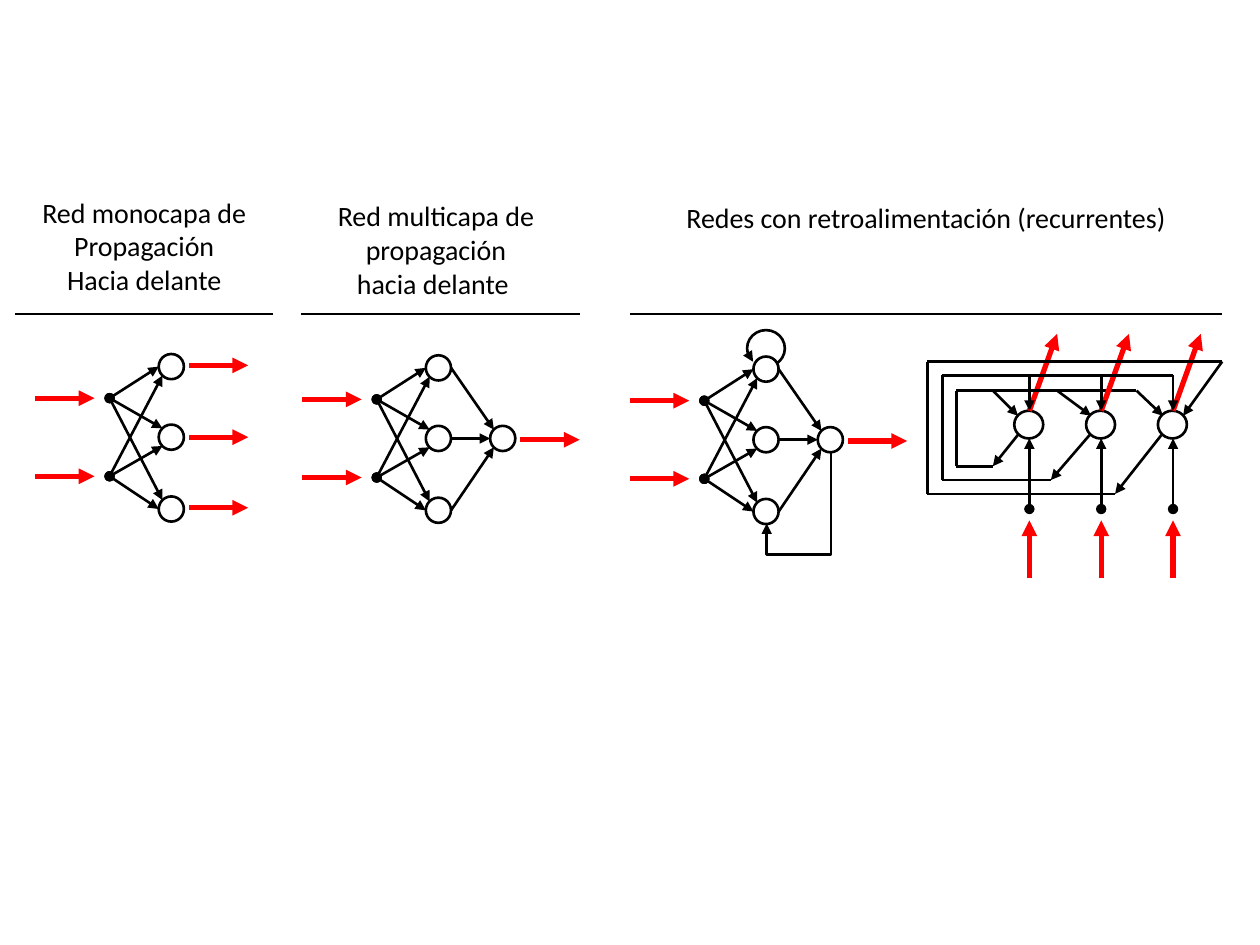
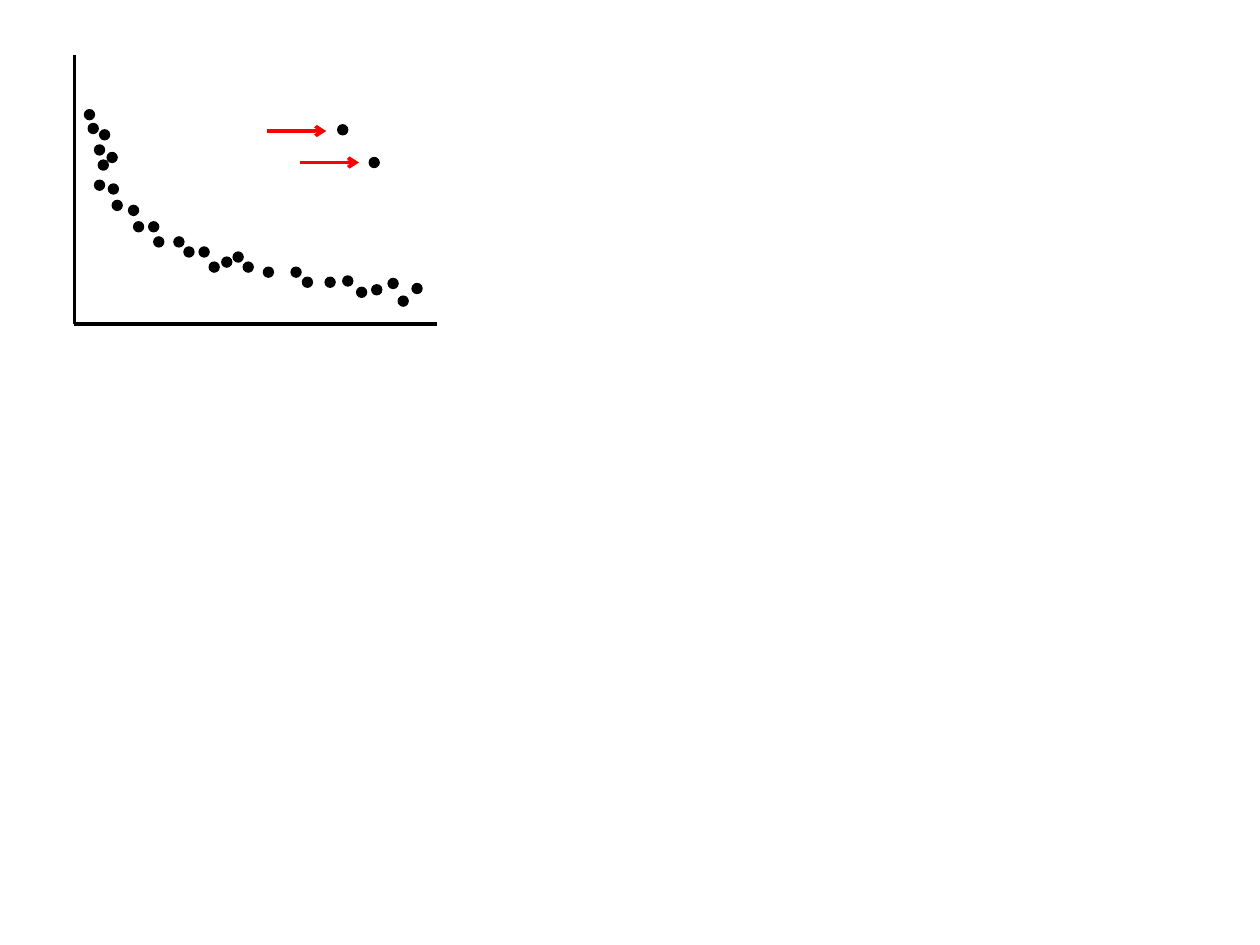
from lxml.etree import SubElement
from pptx import Presentation
from pptx.dml.color import RGBColor
from pptx.enum.shapes import MSO_CONNECTOR as Link, MSO_SHAPE as Preset
from pptx.enum.text import MSO_AUTO_SIZE as AutoSize, PP_ALIGN as Align
from pptx.oxml.ns import qn
from pptx.util import Pt

PX = 9144
BLACK = "000000"
RED = "FF0000"


def px(*lengths):
    return [length * PX for length in lengths]


def color(value):
    return RGBColor.from_string(value)


def write(frame, text, size=16, font="Calibri", ink=BLACK, align=Align.CENTER):
    frame.word_wrap = True
    frame.auto_size = AutoSize.SHAPE_TO_FIT_TEXT
    for index, content in enumerate(text.split("\n")):
        para = frame.paragraphs[0] if index == 0 else frame.add_paragraph()
        para.alignment = align
        span = para.add_run()
        span.text = content
        span.font.size = Pt(size)
        span.font.name = font
        span.font.color.rgb = color(ink)


class Sketch:
    def __init__(self, deck):
        self.deck = deck
        self.page = None
        self.shapes = None

    def new_page(self):
        self.page = self.deck.slides.add_slide(self.deck.slide_layouts[6])
        self.ungroup()

    def group(self):
        self.shapes = self.page.shapes.add_group_shape().shapes

    def ungroup(self):
        self.shapes = self.page.shapes

    def text(self, left, top, width, height, content):
        box = self.shapes.add_textbox(*px(left, top, width, height))
        write(box.text_frame, content)

    def stroke(self, shape, ink, weight, head=None, tail=None):
        shape.line.color.rgb = color(ink)
        shape.line.width = Pt(weight)
        outline = shape._element.spPr.find(qn("a:ln"))
        for tag, kind in (("a:headEnd", head), ("a:tailEnd", tail)):
            if kind:
                SubElement(outline, qn(tag), type=kind)

    def line(self, start, end, ink=BLACK, weight=1.5, head=None, tail=None, link=Link.STRAIGHT):
        connector = self.shapes.add_connector(link, *px(*start, *end))
        self.stroke(connector, ink, weight, head, tail)
        SubElement(connector._element.spPr, qn("a:effectLst"))
        return connector

    def arrow(self, start, end, head=None):
        self.line(start, end, head=head, tail="triangle")

    def signal(self, start, end):
        self.line(start, end, RED, 3, tail="triangle")

    def wire(self, *points):
        for start, end in zip(points, points[1:]):
            self.line(start, end)

    def elbow(self, left, top, width, height, turn, bend):
        connector = self.line((left, top), (left + width, top + height),
                              tail="triangle", link=Link.ELBOW)
        connector.rotation = turn
        guides = connector._element.spPr.find(qn("a:prstGeom")).find(qn("a:avLst"))
        SubElement(guides, qn("a:gd"), name="adj1", fmla=f"val {round(bend * 100000)}")

    def shape(self, preset, left, top, width, height, fill=None, weight=1.5, head=None):
        shape = self.shapes.add_shape(preset, *px(left, top, width, height))
        shape.shadow.inherit = False
        if fill:
            shape.fill.solid()
            shape.fill.fore_color.rgb = color(fill)
        else:
            shape.fill.background()
        self.stroke(shape, BLACK, weight, head)
        return shape

    def neuron(self, left, top, width=20, height=20):
        self.shape(Preset.OVAL, left, top, width, height)

    def dot(self, left, top):
        self.shape(Preset.OVAL, left, top, 8, 8, fill=BLACK, weight=0.75)


def draw_first_layer(sketch, x, y):
    for top in (-35, 21, 78):
        sketch.neuron(x + 39, y + top)
    for source, targets in ((0, ((39, -25), (42, 24), (42, 81))),
                            (62, ((42, -18), (42, 38), (39, 88)))):
        for across, down in targets:
            sketch.arrow((x, y + source), (x + across, y + down), head="oval")
        sketch.signal((x - 59, y + source), (x - 12, y + source))


def draw_output_layer(sketch, x, y):
    sketch.neuron(x + 90, y + 21)
    for start, end in (((59, -25), (93, 24)), ((59, 31), (90, 31)), ((59, 88), (93, 38))):
        sketch.arrow((x + start[0], y + start[1]), (x + end[0], y + end[1]))
    sketch.signal((x + 114, y + 32), (x + 161, y + 32))


def draw_single_layer(sketch, x, y):
    sketch.group()
    draw_first_layer(sketch, x, y)
    for down in (-26, 31, 87):
        sketch.signal((x + 63, y + down), (x + 110, y + down))
    sketch.ungroup()


def draw_multilayer(sketch, x, y, feedback=False):
    sketch.group()
    draw_first_layer(sketch, x, y)
    draw_output_layer(sketch, x, y)
    if feedback:
        sketch.elbow(x + 47, y + 44, 56, 51, turn=90, bend=1.445)
        loop = sketch.shape(Preset.ARC, x + 34, y - 56, 30, 29, head="triangle")
        loop.adjustments[0] = 80.401
        loop.adjustments[1] = 31.408
    sketch.ungroup()


def draw_fully_recurrent(sketch):
    loops = ((788, 370, 759, 310, 902), (834, 381, 748, 298, 931), (885, 392, 736, 287, 970))
    for index, (drop, bottom, left, top, right) in enumerate(loops):
        cell = 805 + 57 * index
        center = cell + 12
        sketch.neuron(cell, 326, 23, 22)
        sketch.signal((center, 326), (center + 22, 265))
        sketch.signal((center, 459), (center, 413))
        sketch.arrow((center, 404), (center, 348), head="oval")
        sketch.arrow((center, 298), (center, 326))
        sketch.arrow((cell + 3, 345), (drop, bottom))
        sketch.wire((drop, bottom), (left, bottom), (left, top), (right, top))
    for start, end in (((788, 310), (808, 330)), ((839, 310), (866, 330)),
                       ((902, 310), (923, 330)), ((970, 287), (939, 330))):
        sketch.arrow(start, end)


def build_networks(sketch):
    sketch.new_page()
    sketch.text(12, 150, 205, 91, "Red monocapa de\nPropagación\nHacia delante")
    sketch.text(232, 153, 228, 94, "Red multicapa de propagación\nhacia delante ")
    sketch.text(500, 154, 470, 37, "Redes con retroalimentación (recurrentes)")
    for left, right in ((12, 217), (239, 460), (500, 970)):
        sketch.line((left, 249), (right, 249), weight=1.25)
    draw_single_layer(sketch, 87, 316)
    draw_multilayer(sketch, 299, 317)
    draw_multilayer(sketch, 559, 318, feedback=True)
    draw_fully_recurrent(sketch)


def build_scatter(sketch):
    sketch.new_page()
    sketch.line((59, 44), (59, 257), weight=2)
    sketch.line((347, 257), (59, 257), weight=2)
    curve = ((67, 87), (70, 98), (79, 103), (75, 115), (85, 121), (78, 127), (75, 143),
             (86, 146), (89, 159), (102, 163), (106, 176), (118, 176), (122, 188),
             (138, 188), (146, 196), (158, 196), (166, 208), (176, 204), (185, 200),
             (193, 208), (209, 212), (231, 212), (240, 220), (258, 220), (272, 219),
             (283, 228), (295, 226), (308, 221), (316, 235), (327, 225))
    outliers = ((268, 99), (293, 125))
    for left, top in curve + outliers:
        sketch.dot(left, top)
    for left, top in ((212, 104), (238, 129)):
        sketch.line((left, top), (left + 47, top), RED, 2, tail="arrow")


def main():
    deck = Presentation()
    deck.slide_width, deck.slide_height = px(1000, 750)
    sketch = Sketch(deck)
    build_networks(sketch)
    build_scatter(sketch)
    deck.save("out.pptx")


if __name__ == "__main__":
    main()
